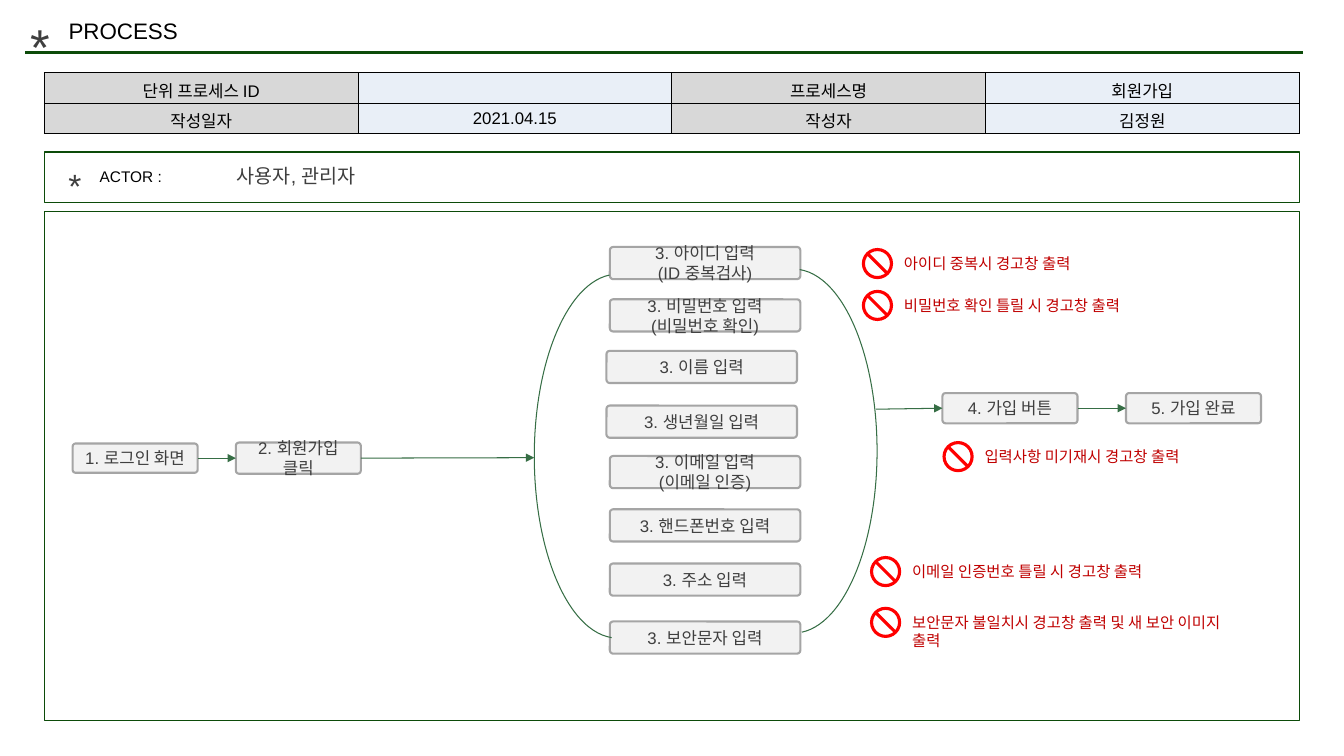
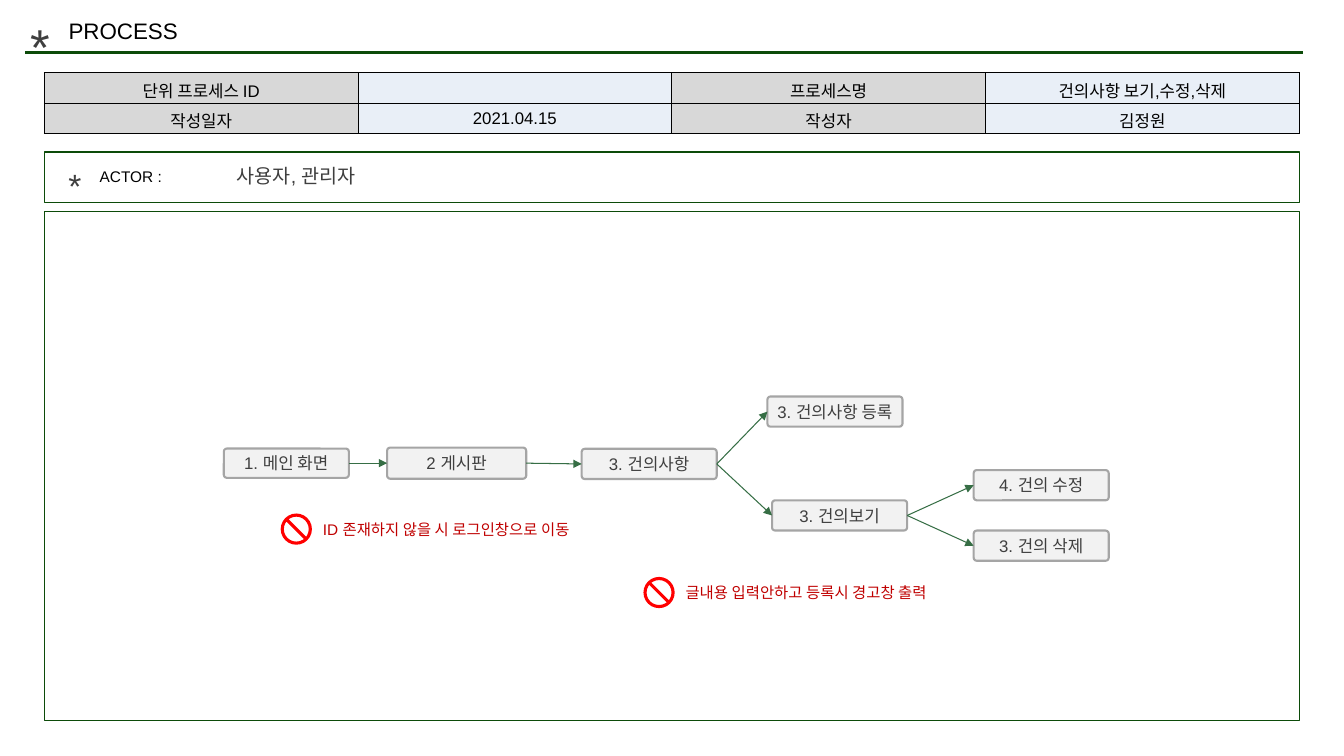
from lxml.etree import SubElement
from pptx import Presentation
from pptx.dml.color import RGBColor
from pptx.enum.shapes import MSO_CONNECTOR as Link, MSO_SHAPE as Form
from pptx.enum.text import MSO_ANCHOR as Anchor, PP_ALIGN as Align
from pptx.oxml.ns import qn
from pptx.util import Pt

FONT = "Arial"
BLACK, GRAY, RED = "000000", "3F3F3F", "C00000"
FOREST, GREEN = "0C4B09", "366E45"
HEAD = (14.4, 7.2, 916, 30.2)
TABLE = (31.7, 52.1, 896.4, 43.2)
ACTOR = (31.7, 108.7, 896.4, 36)
PANEL = (31.7, 151.2, 896.4, 363.6)
LEFT, RIGHT = 1, 3  # connection sites of a rounded box


def color(code):
    """Turn a hex string into a colour."""
    return RGBColor.from_string(code)


def put(item, **vals):
    """Set several attributes of one object."""
    for name, val in vals.items():
        setattr(item, name, val)


def inner(box, x, y, w, h):
    """Shift a part by the corner of the box that holds it."""
    return box[0] + x, box[1] + y, w, h


def write(frame, words, size, code, align=Align.LEFT, anchor=Anchor.TOP):
    """Fill a text frame, one paragraph per line of words."""
    put(frame, word_wrap=True, vertical_anchor=anchor, text=words)
    for par in frame.paragraphs:
        par.alignment = align
        for run in par.runs:
            put(run.font, name=FONT, size=Pt(size))
            run.font.color.rgb = color(code)


def label(slide, box, words, size, code):
    """Add a text box."""
    write(slide.shapes.add_textbox(*map(Pt, box)).text_frame, words, size, code)


def shape(slide, form, box, fill=None, edge=None, width=1):
    """Add a preset shape with an optional fill and outline."""
    item = slide.shapes.add_shape(form, *map(Pt, box))
    item.shadow.inherit = False
    if fill:
        item.fill.solid()
        item.fill.fore_color.rgb = color(fill)
    else:
        item.fill.background()
    if edge:
        item.line.color.rgb = color(edge)
        item.line.width = Pt(width)
    else:
        item.line.fill.background()
    return item


def line(slide, ends, code, width, head=False):
    """Draw a straight line through two points."""
    item = slide.shapes.add_connector(Link.STRAIGHT, *map(Pt, ends))
    item.line.color.rgb = color(code)
    item.line.width = Pt(width)
    if head:
        SubElement(item.line._get_or_add_ln(), qn("a:tailEnd"), type="triangle")
    SubElement(item._element.spPr, qn("a:effectLst"))
    return item


def arrow(slide, box, start, end):
    """Join two ends, each a step or a point inside the box."""
    item = line(slide, (0, 0, 0, 0), GREEN, 0.75, True)
    if isinstance(start, tuple):
        put(item, begin_x=Pt(box[0] + start[0]), begin_y=Pt(box[1] + start[1]))
    else:
        item.begin_connect(start, RIGHT)
    if isinstance(end, tuple):
        put(item, end_x=Pt(box[0] + end[0]), end_y=Pt(box[1] + end[1]))
    else:
        item.end_connect(end, LEFT)


def header(slide, box):
    """Place the title, its star and the rule below."""
    title = slide.shapes.title
    x, y, w, h = inner(box, 27.4, 1.4, 311, 26.6)
    put(title, left=Pt(x), top=Pt(y), width=Pt(w), height=Pt(h))
    write(title.text_frame, "PROCESS", 16, BLACK)
    label(slide, inner(box, 0, 0, 37.4, 51.1), "*", 36, GRAY)
    base = box[1] + box[3]
    line(slide, (box[0] + 3.6, base, box[0] + box[2], base), FOREST, 2.25)


def border(cell):
    """Outline a cell on all four sides."""
    props = cell._tc.get_or_add_tcPr()
    for side in "LRTB":
        edge = SubElement(props, qn(f"a:ln{side}"), w=str(Pt(0.75)))
        fill = SubElement(edge, qn("a:solidFill"))
        SubElement(fill, qn("a:srgbClr"), val=BLACK)


def summary(slide, box, name):
    """Add the table that identifies the process."""
    rows = (("단위 프로세스 ID", "", "프로세스명", name),
            ("작성일자", "2021.04.15", "작성자", "김정원"))
    table = slide.shapes.add_table(2, 4, *map(Pt, box)).table
    for r, row in enumerate(rows):
        for c, words in enumerate(row):
            cell = table.cell(r, c)
            border(cell)
            cell.fill.solid()
            cell.fill.fore_color.rgb = color("E9EFF7" if c % 2 else "D8D8D8")
            write(cell.text_frame, words, 12, BLACK, Align.CENTER)
            cell.vertical_anchor = Anchor.MIDDLE
            if not words:
                par = cell.text_frame.paragraphs[0]._p
                SubElement(par, qn("a:endParaRPr"), sz="1200")


def actors(slide, box):
    """Name the people who take part."""
    shape(slide, Form.RECTANGLE, box, edge=FOREST)
    label(slide, inner(box, 10, 5.8, 37.4, 35.3), "*", 24, GRAY)
    label(slide, inner(box, 32.4, 7.2, 95.8, 20.9), "ACTOR :", 11, BLACK)
    label(slide, inner(box, 130.3, 5, 311, 23), "사용자, 관리자", 14, GRAY)


def step(slide, box, words):
    """Add one rounded step of the flow."""
    item = shape(slide, Form.ROUNDED_RECTANGLE, box, "F2F2F2", "A5A5A5", 1.5)
    item.adjustments[0] = 0.103
    pad = Pt(2.9)
    put(item.text_frame, margin_left=pad, margin_right=pad,
        margin_top=pad, margin_bottom=pad)
    write(item.text_frame, words, 12, GRAY, Align.CENTER, Anchor.MIDDLE)
    return item


def warn(slide, box, x, y, wide, words, high=20.9):
    """Add a stop sign with its warning text."""
    sign = shape(slide, Form.NO_SYMBOL, inner(box, x, y, 22.3, 22.3), "FF0000")
    sign.adjustments[0] = 0.101
    label(slide, inner(box, x + 23, y + 1, wide, high), words, 11, RED)


def arc(slide, box, turn):
    """Draw a half oval, turned to one side."""
    item = shape(slide, Form.ARC, box, edge=GREEN, width=0.75)
    item.rotation = turn
    for i, angle in enumerate((109.097, 214.494)):
        item.adjustments[i] = angle


def flow(slide, box, steps, links, warns):
    """Draw the steps, arrows and warnings of a process in its panel."""
    shape(slide, Form.RECTANGLE, box, edge=FOREST)
    made = {key: step(slide, inner(box, *area), words)
            for key, (area, words) in steps.items()}
    for ends in links:
        arrow(slide, box, *(made.get(end, end) for end in ends))
    for note in warns:
        warn(slide, box, *note)


def page(deck, name, steps, links, warns):
    """Build one process slide."""
    slide = deck.slides.add_slide(deck.slide_layouts[5])
    header(slide, HEAD)
    summary(slide, TABLE, name)
    actors(slide, ACTOR)
    flow(slide, PANEL, steps, links, warns)
    return slide


def signup(deck):
    """Build the slide on joining as a member."""
    steps = {
        "login": ((20.2, 165.6, 89.3, 20.9), "1. 로그인 화면"),
        "join": ((136.8, 164.9, 89.3, 22.3), "2. 회원가입 클릭"),
        "button": ((641.5, 129.6, 96.5, 21.6), "4. 가입 버튼"),
        "done": ((772.6, 129.6, 96.5, 21.6), "5. 가입 완료"),
    }
    fields = (
        (403.9, 25.2, "아이디 입력\n(ID 중복검사)"),
        (403.9, 62.6, "비밀번호 입력\n(비밀번호 확인)"),
        (401.5, 99.4, "이름 입력"),
        (401.5, 138.5, "생년월일 입력"),
        (403.9, 174.5, "이메일 입력\n(이메일 인증)"),
        (403.9, 212.6, "핸드폰번호 입력"),
        (403.9, 251.3, "주소 입력"),
        (403.9, 292.7, "보안문자 입력"),
    )
    for x, y, words in fields:
        steps[words] = ((x, y, 136.1, 23), f"3. {words}")
    links = (("login", "join"), ("join", (349.9, 175.7)),
             ((594, 141.1), "button"), ("button", "done"))
    warns = (
        (583.9, 25.9, 188, "아이디 중복시 경고창 출력"),
        (583.9, 55.8, 188, "비밀번호 확인 틀릴 시 경고창 출력"),
        (641.5, 163.8, 246, "입력사항 미기재시 경고창 출력"),
        (589.7, 245.9, 246, "이메일 인증번호 틀릴 시 경고창 출력"),
        (589.7, 282.2, 252.7,
         "보안문자 불일치시 경고창 출력 및 새 보안 이미지 출력", 33.1),
    )
    slide = page(deck, "회원가입", steps, links, warns)
    for x, y, turn in ((279.4, 115.2, 270), (405.4, 111.6, 90)):
        arc(slide, inner(PANEL, x, y, 259.9, 118.8), turn)


def board(deck):
    """Build the slide on reading, editing and deleting suggestions."""
    size = (96.5, 21.6)
    steps = {
        "main": ((128.2, 169.2, 89.3, 20.9), "1. 메인 화면"),
        "board": ((244.8, 168.5, 99.4, 22.3), "2 게시판"),
        "topic": ((383.8, 169.4, *size), "3. 건의사항"),
        "view": ((519.8, 206.2, *size), "3. 건의보기"),
        "add": ((516.5, 132, *size), "3. 건의사항 등록"),
        "edit": ((663.8, 184.6, *size), "4. 건의 수정"),
        "erase": ((663.8, 227.8, *size), "3. 건의 삭제"),
    }
    links = (("main", "board"), ("board", "topic"), ("topic", "view"),
             ("topic", "add"), ("view", "edit"), ("view", "erase"))
    warns = (
        (168.8, 215.6, 212.4, "ID 존재하지 않을 시 로그인창으로 이동"),
        (427.9, 260.9, 212.4, "글내용 입력안하고 등록시 경고창 출력"),
    )
    page(deck, "건의사항 보기,수정,삭제", steps, links, warns)


deck = Presentation()
put(deck, slide_width=Pt(960), slide_height=Pt(540))
signup(deck)
board(deck)
deck.save("out.pptx")
